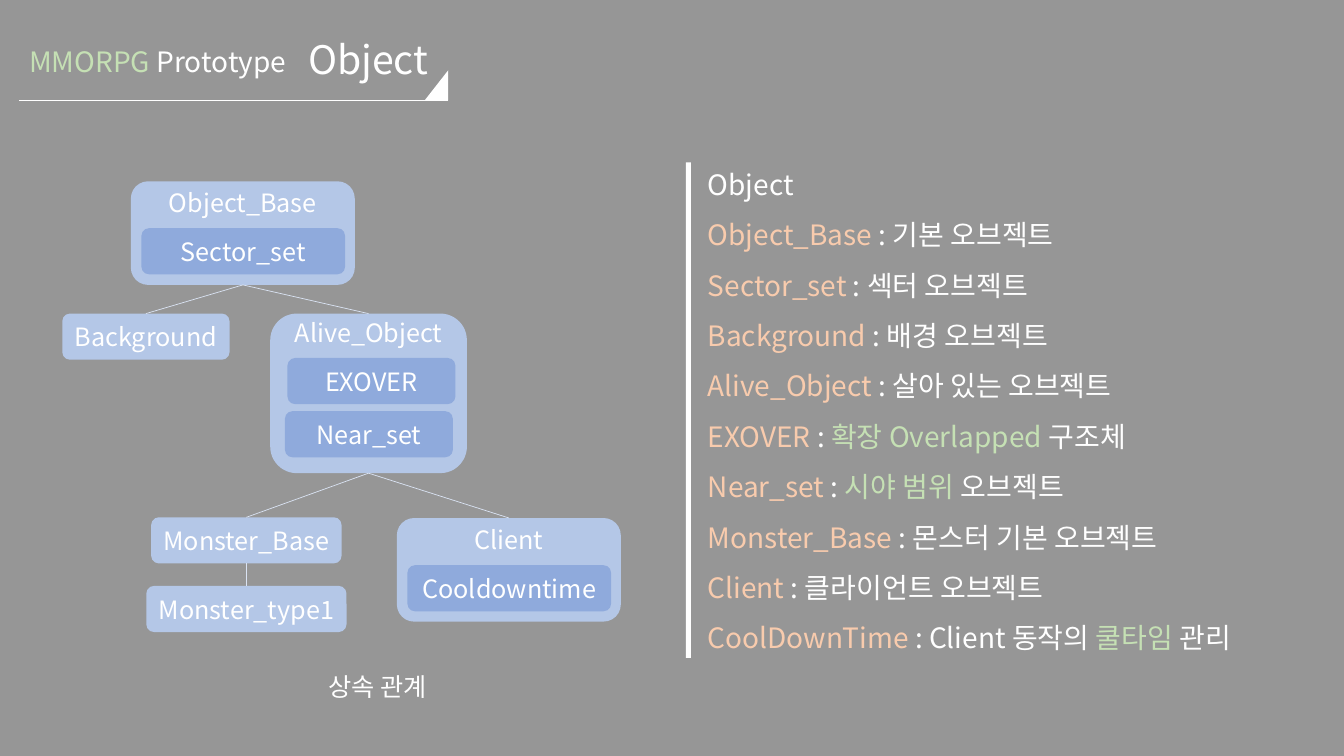
from lxml import etree
from pptx import Presentation
from pptx.dml.color import RGBColor
from pptx.enum.shapes import MSO_CONNECTOR, MSO_SHAPE
from pptx.enum.text import MSO_ANCHOR, PP_ALIGN
from pptx.oxml.ns import qn
from pptx.util import Pt

FONT = "Noto Sans CJK KR"
WHITE = RGBColor(0xFF, 0xFF, 0xFF)
GRAY = RGBColor(0x96, 0x96, 0x96)
GREEN = RGBColor(0xC5, 0xE0, 0xB4)
PEACH = RGBColor(0xF8, 0xCB, 0xAD)
CLASS_BLUE = RGBColor(0xB4, 0xC7, 0xE7)
MEMBER_BLUE = RGBColor(0x8F, 0xAA, 0xDC)
LINK_BLUE = RGBColor(0xDA, 0xE3, 0xF3)

TOP, BOTTOM = 0, 2
ROW_HEIGHT = 33

# Each paragraph is a list of (text, colour) runs.
DESCRIPTIONS = [
    [("Object", WHITE)],
    [("Object_Base ", PEACH), (": 기본 오브젝트", WHITE)],
    [("Sector_set ", PEACH), (": 섹터 오브젝트", WHITE)],
    [("Background", PEACH), (" : 배경 오브젝트", WHITE)],
    [("Alive_Object ", PEACH), (": 살아 있는 오브젝트", WHITE)],
    [("EXOVER", PEACH), (" : ", WHITE), ("확장 Overlapped ", GREEN), ("구조체", WHITE)],
    [("Near_set ", PEACH), (": ", WHITE), ("시야 범위", GREEN), (" 오브젝트", WHITE)],
    [("Monster_Base", PEACH), (" : 몬스터 기본 오브젝트", WHITE)],
    [("Client ", PEACH), (": 클라이언트 오브젝트", WHITE)],
    [("CoolDownTime ", PEACH), (": Client 동작의 ", WHITE), ("쿨타임", GREEN),
     (" 관리", WHITE)],
]


def write_text(shape, paragraphs, size=18, align=PP_ALIGN.LEFT,
               anchor=MSO_ANCHOR.MIDDLE, spacing=None, wrap=False):
    """Fill a shape with paragraphs, each a list of (text, colour) runs."""
    frame = shape.text_frame
    frame.word_wrap = wrap
    frame.vertical_anchor = anchor
    for index, runs in enumerate(paragraphs):
        paragraph = frame.add_paragraph() if index else frame.paragraphs[0]
        paragraph.alignment = align
        paragraph.line_spacing = spacing
        for text, color in runs:
            run = paragraph.add_run()
            run.text = text
            run.font.size = Pt(size)
            run.font.name = FONT
            run.font.color.rgb = color
            east_asian = etree.SubElement(run._r.get_or_add_rPr(), qn("a:ea"))
            east_asian.set("typeface", FONT)


def add_text(slide, left, top, width, height, paragraphs, **text_format):
    box = slide.shapes.add_textbox(Pt(left), Pt(top), Pt(width), Pt(height))
    write_text(box, paragraphs, **text_format)


def add_filled(slide, preset, left, top, width, height, color):
    shape = slide.shapes.add_shape(preset, Pt(left), Pt(top), Pt(width), Pt(height))
    shape.shadow.inherit = False
    shape.fill.solid()
    shape.fill.fore_color.rgb = color
    shape.line.fill.background()
    return shape


def add_box(slide, name, left, top, width, height=ROW_HEIGHT, color=CLASS_BLUE,
            heading_center=None):
    """Add a rounded box; heading_center puts its label that far below the top."""
    box = add_filled(slide, MSO_SHAPE.ROUNDED_RECTANGLE, left, top, width, height, color)
    write_text(box, [[(name, WHITE)]], align=PP_ALIGN.CENTER)
    if heading_center:
        box.text_frame.margin_top = 0
        box.text_frame.margin_bottom = Pt(height - 2 * heading_center)
    return box


def add_line(slide, start, end, color):
    line = slide.shapes.add_connector(
        MSO_CONNECTOR.STRAIGHT, *(Pt(value) for value in (*start, *end)))
    line.line.color.rgb = color
    line.line.width = Pt(0.5)
    etree.SubElement(line._element.spPr, qn("a:effectLst"))
    return line


def link(slide, parent, child):
    line = add_line(slide, (0, 0), (0, 0), LINK_BLUE)
    line.begin_connect(parent, BOTTOM)
    line.end_connect(child, TOP)


def add_header(slide):
    add_text(slide, 13.7, 28.5, 199.5, 31.5,
             [[("MMORPG ", GREEN), ("Prototype", WHITE)]], size=20,
             anchor=MSO_ANCHOR.TOP)
    title = slide.shapes.title
    title.left, title.top, title.width, title.height = Pt(213), Pt(12), Pt(179), Pt(64)
    write_text(title, [[("Object", WHITE)]], size=28, spacing=0.9, wrap=True)
    add_line(slide, (13.7, 71.5), (320, 71.5), WHITE)
    corner = add_filled(slide, MSO_SHAPE.RIGHT_TRIANGLE, 301, 52.5, 21.5, 16.8, WHITE)
    corner.rotation = 270


def add_inheritance_tree(slide):
    object_base = add_box(slide, "Object_Base", 93.5, 129.5, 160, 74, heading_center=15)
    background = add_box(slide, "Background", 44.5, 224, 119.5)
    alive_object = add_box(slide, "Alive_Object", 193, 224, 140.5, 114, heading_center=13.5)
    monster_base = add_box(slide, "Monster_Base", 108, 369.5, 136)
    monster_type = add_box(slide, "Monster_type1", 104.5, 418.5, 143)
    client = add_box(slide, "Client", 283.5, 370, 160, 74, heading_center=15)

    members = [
        ("Sector_set", 101, 163, 145.5),
        ("EXOVER", 205.3, 255.7, 120),
        ("Near_set", 203.5, 293.7, 120),
        ("Cooldowntime", 291, 403.7, 145.5),
    ]
    for member in members:
        add_box(slide, *member, color=MEMBER_BLUE)

    links = [(object_base, alive_object), (object_base, background),
             (alive_object, client), (alive_object, monster_base),
             (monster_base, monster_type)]
    for parent, child in links:
        link(slide, parent, child)
    add_text(slide, 212, 470, 115, 41, [[("상속 관계", WHITE)]], align=PP_ALIGN.CENTER)


def add_descriptions(slide):
    add_filled(slide, MSO_SHAPE.RECTANGLE, 490, 116, 3.6, 354, WHITE)
    add_text(slide, 498.5, 104, 407, 367, DESCRIPTIONS, size=20,
             anchor=MSO_ANCHOR.TOP, spacing=Pt(36), wrap=True)


def main():
    presentation = Presentation()
    presentation.slide_width, presentation.slide_height = Pt(960), Pt(540)
    slide = presentation.slides.add_slide(presentation.slide_layouts.get_by_name("Title Only"))
    slide.background.fill.solid()
    slide.background.fill.fore_color.rgb = GRAY
    add_header(slide)
    add_inheritance_tree(slide)
    add_descriptions(slide)
    presentation.save("out.pptx")


if __name__ == "__main__":
    main()
